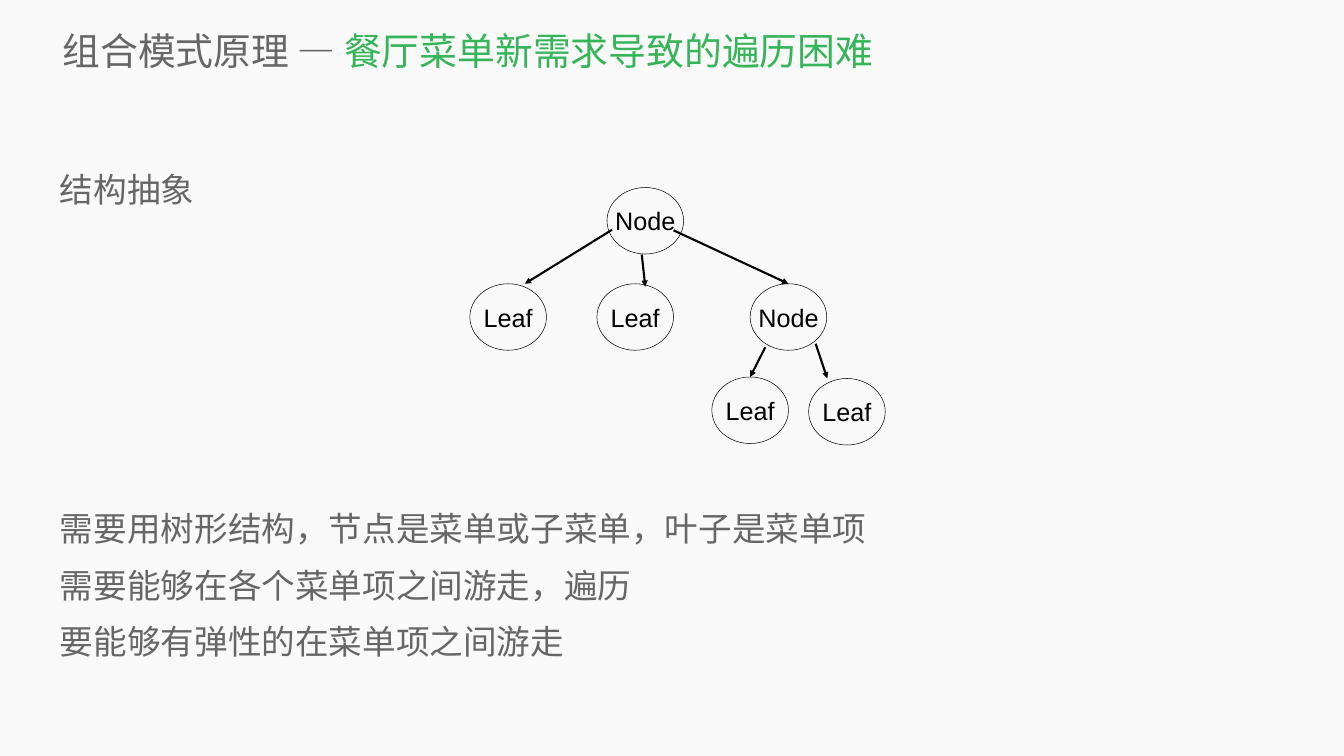
from dataclasses import dataclass
from lxml.etree import SubElement
from pptx import Presentation
from pptx.dml.color import RGBColor
from pptx.enum.shapes import MSO_CONNECTOR, MSO_SHAPE
from pptx.enum.text import MSO_ANCHOR, PP_ALIGN
from pptx.oxml.ns import qn
from pptx.util import Inches, Pt


@dataclass(frozen=True)
class Theme:
    background: RGBColor = RGBColor.from_string("F9F9F9")
    text: RGBColor = RGBColor.from_string("666666")
    accent: RGBColor = RGBColor.from_string("35B558")
    ink: RGBColor = RGBColor.from_string("000000")
    title_size: Pt = Pt(54)
    body_size: Pt = Pt(48)
    node_size: Pt = Pt(36)
    body_spacing: Pt = Pt(80.7)
    chinese: str = "Noto Sans CJK SC"
    latin: str = "Arial"


def set_font(font, name, size, color):
    font.name, font.size = name, size
    font.color.rgb = color
    SubElement(font._element if hasattr(font, "_element") else font._rPr, qn("a:ea"), typeface=name)


def add_text_box(page, left, top, width, height, inset):
    frame = page.shapes.add_textbox(Inches(left), Inches(top), Inches(width), Inches(height)).text_frame
    frame.word_wrap = True
    frame.margin_left = frame.margin_right = frame.margin_top = frame.margin_bottom = Inches(inset)
    return frame


theme = Theme()
deck = Presentation()
deck.slide_width, deck.slide_height = Inches(26.66), Inches(15)
page = deck.slides.add_slide(deck.slide_layouts[6])
page.background.fill.solid()
page.background.fill.fore_color.rgb = theme.background

title = add_text_box(page, 1.18, 0.5, 25.16, 1.01, 0.06)
title.vertical_anchor = MSO_ANCHOR.MIDDLE
para = title.paragraphs[0]
for text, color in [("组合模式原理 — ", theme.text), ("餐厅菜单新需求导致的遍历困难", theme.accent)]:
    span = para.add_run()
    span.text = text
    set_font(span.font, theme.chinese, theme.title_size, color)

body = [
    (3.03, ["结构抽象"]),
    (9.76, [
        "需要用树形结构，节点是菜单或子菜单，叶子是菜单项",
        "需要能够在各个菜单项之间游走，遍历",
        "要能够有弹性的在菜单项之间游走",
    ]),
]
for top, lines in body:
    frame = add_text_box(page, 1.19, top, 23.89, 1.12 * len(lines), 0)
    frame.text = "\n".join(lines)
    for para in frame.paragraphs:
        para.line_spacing = theme.body_spacing
        set_font(para.font, theme.chinese, theme.body_size, theme.text)

tree = {
    "root": ("Node", 12.04, 3.72),
    "middle leaf": ("Leaf", 11.84, 5.63),
    "left leaf": ("Leaf", 9.32, 5.63),
    "child": ("Node", 14.88, 5.63),
    "child left leaf": ("Leaf", 14.12, 7.48),
    "child right leaf": ("Leaf", 16.04, 7.51),
}
ovals = {}
for name, (label, left, top) in tree.items():
    oval = page.shapes.add_shape(MSO_SHAPE.OVAL, Inches(left), Inches(top), Inches(1.52), Inches(1.32))
    oval.shadow.inherit = False
    oval.fill.background()
    oval.line.color.rgb = theme.ink
    oval.line.width = Pt(0.75)
    frame = oval.text_frame
    frame.word_wrap = False
    frame.vertical_anchor = MSO_ANCHOR.MIDDLE
    frame.text = label
    para = frame.paragraphs[0]
    para.alignment = PP_ALIGN.CENTER
    set_font(para.font, theme.latin, theme.node_size, theme.ink)
    ovals[name] = oval

arrows = [
    (12.14, 4.56, 10.41, 5.63, None),
    (12.73, 5.05, 12.8, 5.69, None),
    (13.36, 4.57, 15.64, 5.63, "child"),
    (16.18, 6.82, 16.41, 7.51, None),
    (15.18, 6.89, 14.88, 7.48, "child left leaf"),
]
for *ends, target in arrows:
    arrow = page.shapes.add_connector(MSO_CONNECTOR.STRAIGHT, *map(Inches, ends))
    if target:
        arrow.end_connect(ovals[target], 0)
    arrow.line.color.rgb = theme.ink
    arrow.line.width = Pt(3)
    SubElement(arrow.line._get_or_add_ln(), qn("a:tailEnd"), type="triangle")
    SubElement(arrow._element.spPr, qn("a:effectLst"))

deck.save("out.pptx")
